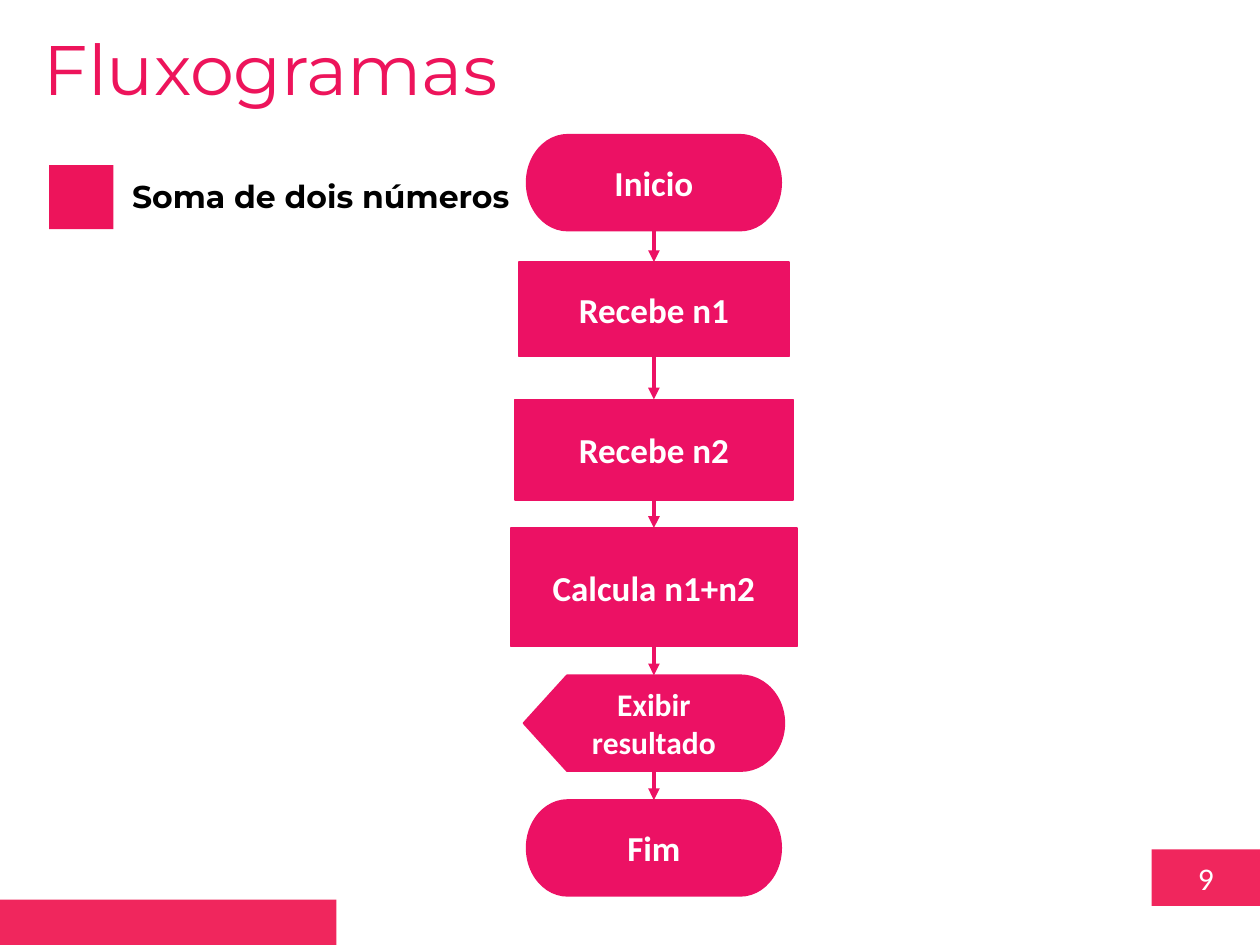
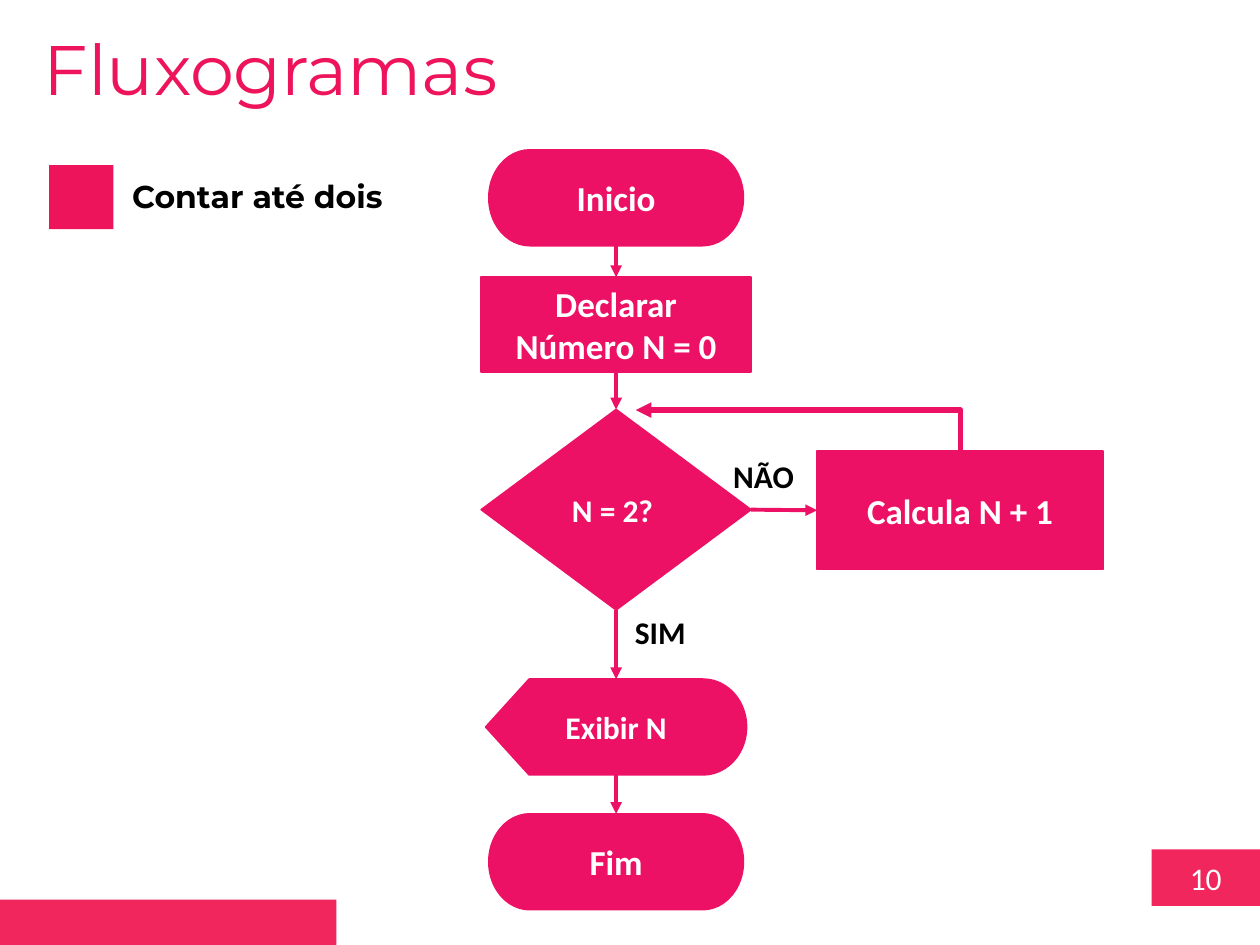
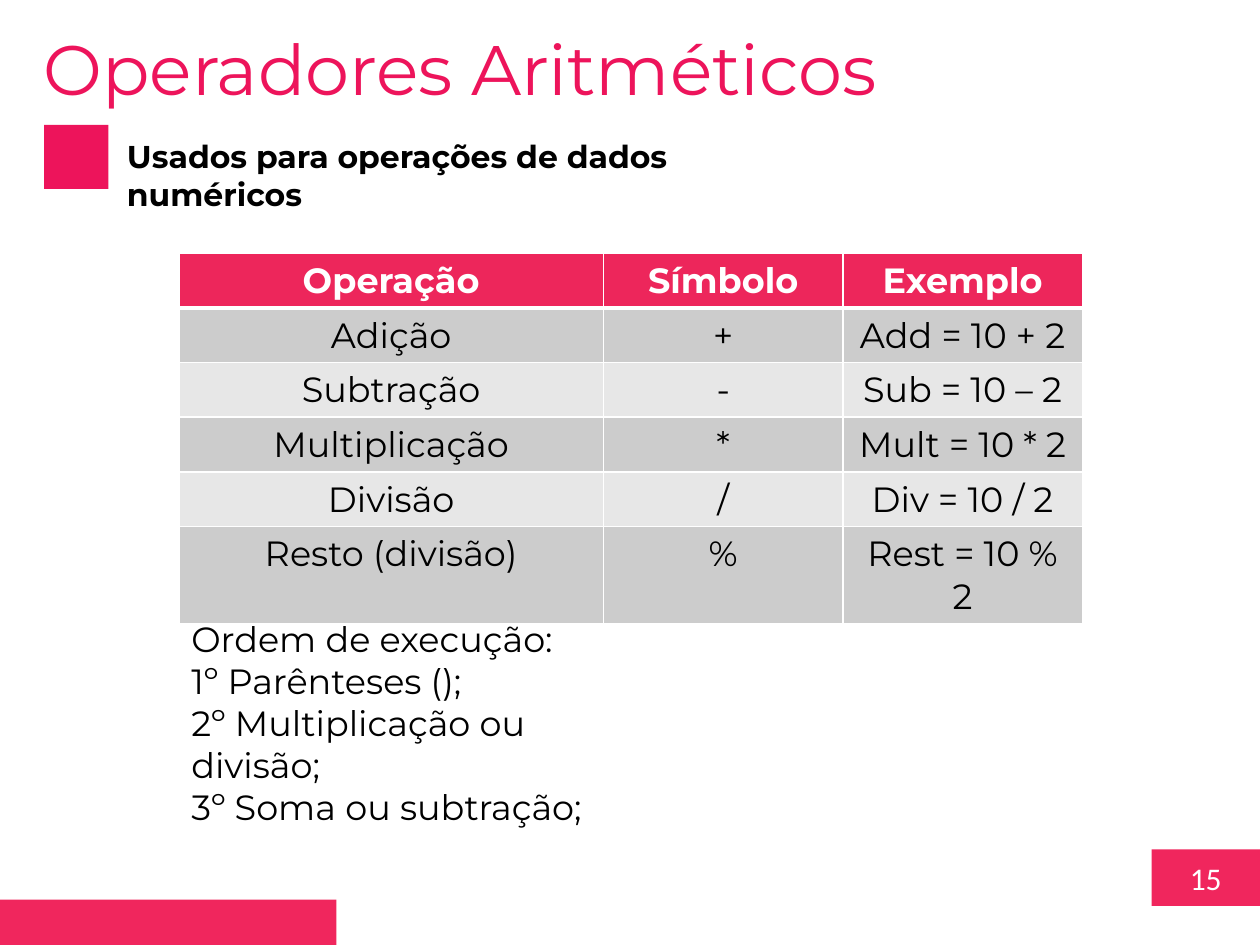
"""Build three lesson slides: two flowcharts and the arithmetic operators."""
from lxml import etree
from pptx import Presentation
from pptx.dml.color import RGBColor
from pptx.enum.shapes import MSO_CONNECTOR, MSO_SHAPE
from pptx.enum.text import MSO_ANCHOR, MSO_AUTO_SIZE, PP_ALIGN
from pptx.oxml import parse_xml
from pptx.oxml.ns import nsdecls, qn
from pptx.util import Inches, Pt

RECTANGLE = MSO_SHAPE.RECTANGLE
TERMINATOR = MSO_SHAPE.FLOWCHART_TERMINATOR
PROCESS = MSO_SHAPE.FLOWCHART_PROCESS
DISPLAY = MSO_SHAPE.FLOWCHART_DISPLAY
DECISION = MSO_SHAPE.FLOWCHART_DECISION
STRAIGHT, ELBOW = MSO_CONNECTOR.STRAIGHT, MSO_CONNECTOR.ELBOW
LEFT, CENTER = PP_ALIGN.LEFT, PP_ALIGN.CENTER
MIDDLE = MSO_ANCHOR.MIDDLE
GROW = MSO_AUTO_SIZE.SHAPE_TO_FIT_TEXT
TOP_SIDE, LEFT_SIDE, BOTTOM_SIDE, RIGHT_SIDE = range(4)
HEADING, BODY = "Montserrat", "Calibri"
COLORS = {
    "band": "F0265D", "title": "ED145B", "flow": "EC1164", "header": "ED265B",
    "odd": "CCCCCC", "even": "E7E7E7", "black": "000000", "white": "FFFFFF",
}


def write(frame, lines, size, font, color, bold=False, align=LEFT):
    """Fill a text frame with one paragraph per line."""
    frame.word_wrap = True
    for index, line in enumerate(lines):
        para = frame.add_paragraph() if index else frame.paragraphs[0]
        para.alignment = align
        span = para.add_run()
        span.text = line
        span.font.size, span.font.name, span.font.bold = Pt(size), font, bold
        span.font.color.rgb = RGBColor.from_string(COLORS[color])


def add_block(shapes, kind, place, color, outlined=False):
    """Add a flat filled shape."""
    block = shapes.add_shape(kind, *map(Inches, place))
    block.shadow.inherit = False
    block.fill.solid()
    block.fill.fore_color.rgb = RGBColor.from_string(COLORS[color])
    if outlined:
        block.line.color.rgb = RGBColor.from_string(COLORS[color])
        block.line.width = Pt(1)
    else:
        block.line.fill.background()
    block.text_frame.vertical_anchor = MIDDLE
    return block


deck = Presentation()
deck.slide_width, deck.slide_height = Inches(10), Inches(7.5)

pages = []
for number, title, subtitle, left, top, width in [
    ("9", "Fluxogramas", "Soma de dois números", 0.39, 1.31, 4.44),
    ("10", "Fluxogramas", "Contar até dois", 0.39, 1.31, 4.44),
    ("15", "Operadores Aritméticos", "Usados para operações de dados numéricos", 0.35, 0.99, 5.04),
]:
    page = deck.slides.add_slide(deck.slide_layouts[6])
    number_box = add_block(page.shapes, RECTANGLE, (9.14, 6.74, 0.86, 0.45), "band")
    write(number_box.text_frame, [number], 18, BODY, "white", align=CENTER)
    add_block(page.shapes, RECTANGLE, (0, 7.14, 2.67, 0.36), "band")
    title_box = page.shapes.add_textbox(*map(Inches, (0.25, 0.15, 7.9, 0.77)))
    write(title_box.text_frame, [title], 40, HEADING, "title")
    subtitle_group = page.shapes.add_group_shape()
    add_block(subtitle_group.shapes, RECTANGLE, (left, top, 0.51, 0.51), "title")
    subtitle_box = subtitle_group.shapes.add_textbox(
        *map(Inches, (left + 0.56, top + 0.05, width, 0.4)))
    write(subtitle_box.text_frame, [subtitle], 18, HEADING, "black", bold=True)
    for box in (title_box, subtitle_box):
        box.text_frame.auto_size = GROW
    pages.append(page)
sum_page, count_page, operators_page = pages

sum_steps = [
    ("Inicio", TERMINATOR, 5.19, 1.07, 2.02, 0.76, 20),
    ("Recebe n1", PROCESS, 5.19, 2.08, 2.14, 0.75, 20),
    ("Recebe n2", PROCESS, 5.19, 3.17, 2.21, 0.8, 20),
    ("Calcula n1+n2", PROCESS, 5.19, 4.19, 2.27, 0.94, 20),
    ("Exibir resultado", DISPLAY, 5.19, 5.36, 2.07, 0.76, 18),
    ("Fim", TERMINATOR, 5.19, 6.35, 2.02, 0.76, 20),
]
count_steps = [
    ("Inicio", TERMINATOR, 4.89, 1.19, 2.02, 0.76, 20),
    ("Declarar Número N = 0", PROCESS, 4.89, 2.2, 2.14, 0.75, 20),
    ("N = 2? ", DECISION, 4.89, 3.25, 2.14, 1.59, 18),
    ("Exibir N", DISPLAY, 4.89, 5.39, 2.07, 0.76, 18),
    ("Fim", TERMINATOR, 4.89, 6.46, 2.02, 0.76, 20),
    ("Calcula N + 1", PROCESS, 7.62, 3.58, 2.27, 0.94, 20),
]
sum_links = [(step, BOTTOM_SIDE, step + 1, TOP_SIDE) for step in range(5)]
count_links = [(step, BOTTOM_SIDE, step + 1, TOP_SIDE) for step in range(4)]
count_links.append((2, RIGHT_SIDE, 5, LEFT_SIDE))

arrows = []
for page, steps, links in [
    (sum_page, sum_steps, sum_links),
    (count_page, count_steps, count_links),
]:
    blocks = []
    for text, kind, middle, top, width, height, size in steps:
        place = (middle - width / 2, top, width, height)
        block = add_block(page.shapes, kind, place, "flow", outlined=True)
        write(block.text_frame, [text], size, BODY, "white", bold=True, align=CENTER)
        blocks.append(block)
    for start, start_side, end, end_side in links:
        arrow = page.shapes.add_connector(STRAIGHT, 0, 0, 0, 0)
        arrow.begin_connect(blocks[start], start_side)
        arrow.end_connect(blocks[end], end_side)
        arrows.append((arrow, 2.25))

loop_arrow = count_page.shapes.add_connector(ELBOW, *map(Inches, (6.17, 2.13, 6.5, 4.71)))
loop_properties = loop_arrow._element.spPr
loop_properties.find(qn("a:prstGeom")).set("prst", "bentConnector2")
loop_transform = loop_properties.find(qn("a:xfrm"))
loop_transform.set("rot", "16200000")
loop_transform.set("flipV", "1")
arrows.append((loop_arrow, 3))

for arrow, weight in arrows:
    arrow.line.color.rgb = RGBColor.from_string(COLORS["flow"])
    arrow.line.width = Pt(weight)
    etree.SubElement(arrow.line._get_or_add_ln(), qn("a:tailEnd"), type="triangle")
    etree.SubElement(arrow._element.spPr, qn("a:effectLst"))

for answer, left, top, width in [("SIM", 4.89, 4.82, 0.7), ("NÃO", 5.64, 3.58, 0.84)]:
    box = count_page.shapes.add_textbox(*map(Inches, (left, top, width, 0.4)))
    write(box.text_frame, [answer], 18, BODY, "black", bold=True, align=CENTER)
    box.text_frame.auto_size = GROW

operators = [
    ("Operação", "Símbolo", "Exemplo"),
    ("Adição", "+", "Add = 10 + 2"),
    ("Subtração", "-", "Sub = 10 – 2"),
    ("Multiplicação", "*", "Mult = 10 * 2"),
    ("Divisão", "/", "Div = 10 / 2"),
    ("Resto (divisão)", "%", "Rest = 10 % 2"),
]
table = operators_page.shapes.add_table(
    len(operators), 3, *map(Inches, (1.42, 2.01, 7.17, 2.6))).table
for column, width in zip(table.columns, (3.37, 1.9, 1.9)):
    column.width = Inches(width)
for row, values in enumerate(operators):
    fill = "header" if row == 0 else "odd" if row % 2 else "even"
    heavy_side = {0: "lnB", 1: "lnT"}.get(row)
    for column, value in enumerate(values):
        cell = table.cell(row, column)
        for side in ("lnL", "lnR", "lnT", "lnB"):
            weight = Pt(3 if side == heavy_side else 1)
            cell._tc.get_or_add_tcPr().append(parse_xml(
                f'<a:{side} {nsdecls("a")} w="{weight}"><a:solidFill>'
                f'<a:srgbClr val="{COLORS["white"]}"/></a:solidFill></a:{side}>'))
        cell.fill.solid()
        cell.fill.fore_color.rgb = RGBColor.from_string(COLORS[fill])
        write(cell.text_frame, [value], 20, HEADING, "black" if row else "white",
              bold=row == 0, align=CENTER)

order_box = operators_page.shapes.add_textbox(*map(Inches, (1.42, 4.85, 3.57, 1.45)))
write(order_box.text_frame, [
    "Ordem de execução:",
    "1º Parênteses ();",
    "2º Multiplicação ou divisão;",
    "3º Soma ou subtração;",
], 20, HEADING, "black")
order_box.text_frame.auto_size = GROW

deck.save("out.pptx")
